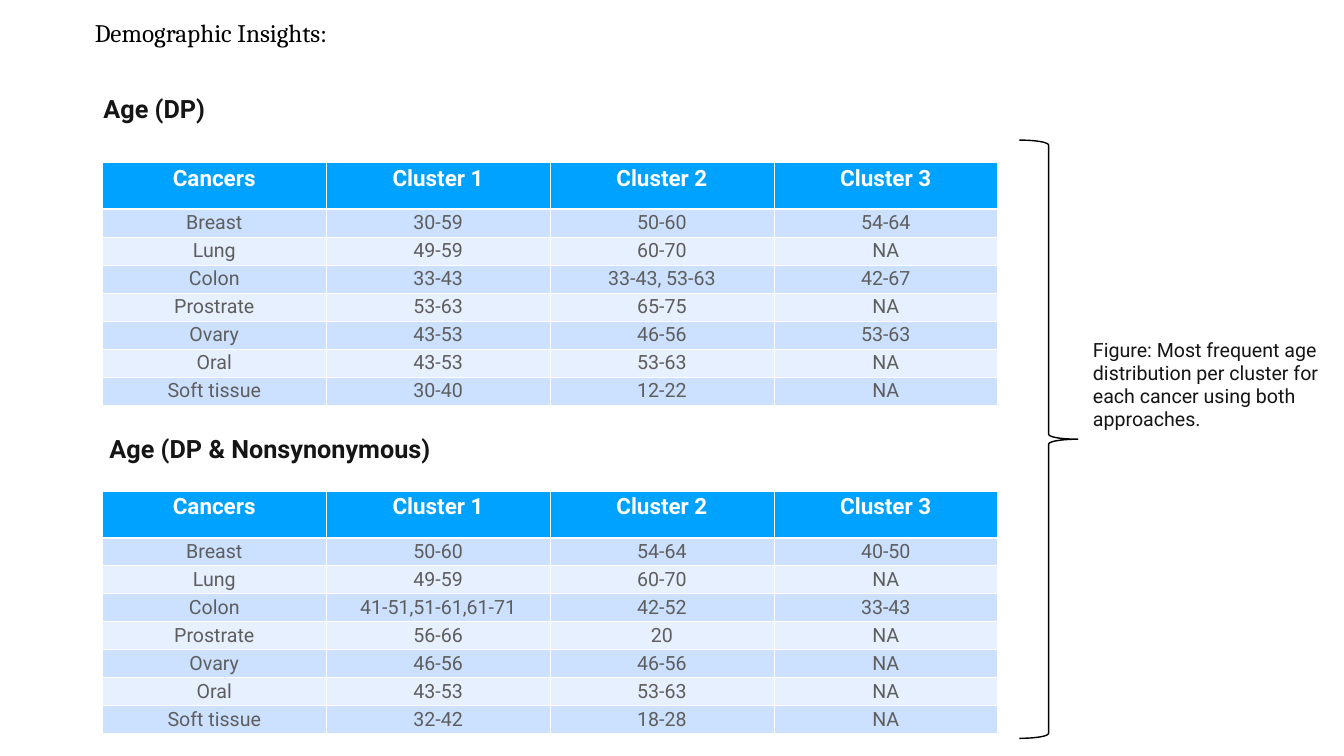
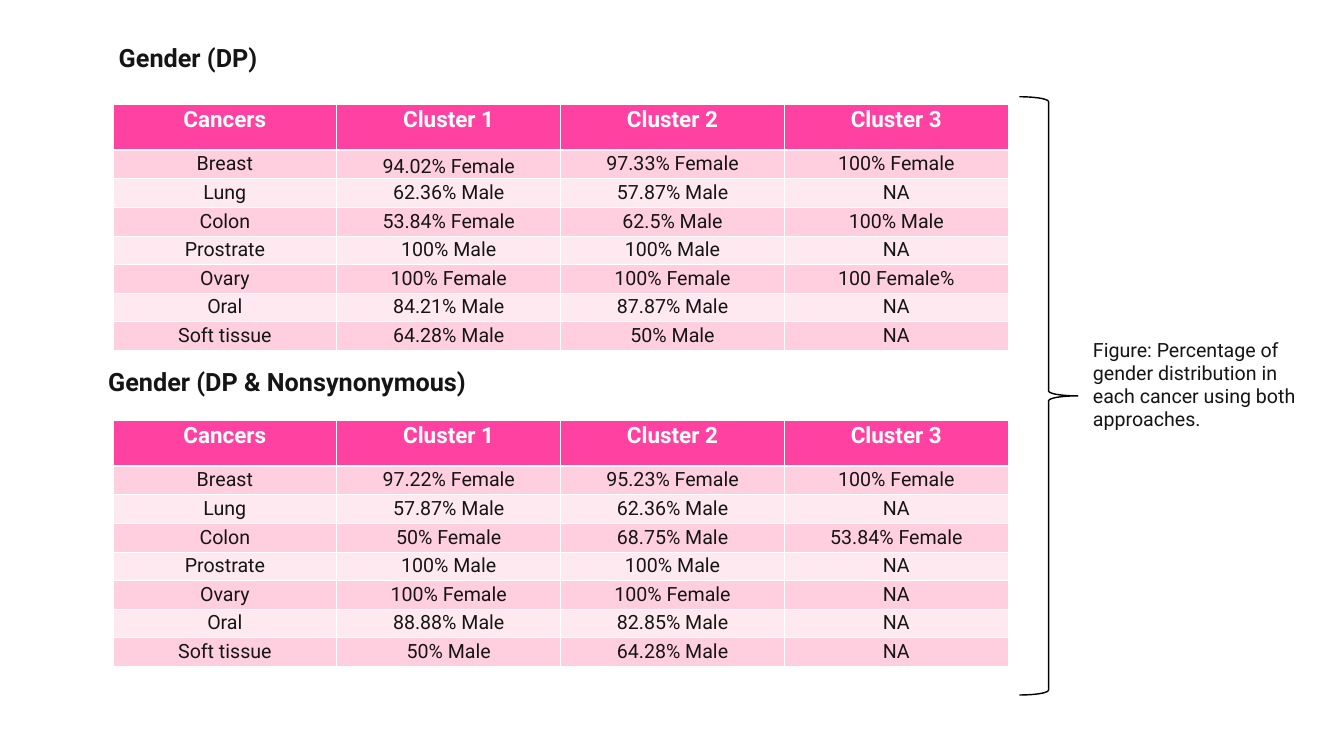
"""Build two slides of age and gender distribution per cancer cluster."""
from lxml import etree
from pptx import Presentation
from pptx.dml.color import RGBColor
from pptx.enum import shapes, text
from pptx.oxml.ns import qn
from pptx.util import Inches, Pt

INK, WHITE, BLACK = "151515", "FFFFFF", "000000"
CENTER, LEFT = text.PP_ALIGN.CENTER, text.PP_ALIGN.LEFT
HEADER = ("Cancers", "Cluster 1", "Cluster 2", "Cluster 3")
COLUMN_WIDTH, HEADER_HEIGHT, ROW_HEIGHT = 4.44, 0.92, 0.55
LABEL_HEIGHT = 0.94
BRACE_LEFT, BRACE_WIDTH, BRACE_HEIGHT = 20.22, 1.16, 11.87
CAPTION_BOX = (21.58, 6.68, 4.69, 2.85)

BLUE = {"header": "00A2FF", "bands": ("CCE0FF", "E7F0FF"), "text": "5E5E5E"}
PINK = {"header": "FF42A1", "bands": ("FFCFE0", "FFE9F0"), "text": INK}

AGE_DP = [
    ("Breast", "30-59", "50-60", "54-64"),
    ("Lung", "49-59", "60-70", "NA"),
    ("Colon", "33-43", "33-43, 53-63", "42-67"),
    ("Prostrate", "53-63", "65-75", "NA"),
    ("Ovary", "43-53", "46-56", "53-63"),
    ("Oral", "43-53", "53-63", "NA"),
    ("Soft tissue", "30-40", "12-22", "NA"),
]
AGE_BOTH = [
    ("Breast", "50-60", "54-64", "40-50"),
    ("Lung", "49-59", "60-70", "NA"),
    ("Colon", "41-51,51-61,61-71", "42-52", "33-43"),
    ("Prostrate", "56-66", "20", "NA"),
    ("Ovary", "46-56", "46-56", "NA"),
    ("Oral", "43-53", "53-63", "NA"),
    ("Soft tissue", "32-42", "18-28", "NA"),
]
GENDER_DP = [
    ("Breast", "94.02% Female", "97.33% Female", "100% Female"),
    ("Lung", "62.36% Male", "57.87% Male", "NA"),
    ("Colon", "53.84% Female", "62.5% Male", "100% Male"),
    ("Prostrate", "100% Male", "100% Male", "NA"),
    ("Ovary", "100% Female", "100% Female", "100 Female%"),
    ("Oral", "84.21% Male", "87.87% Male", "NA"),
    ("Soft tissue", "64.28% Male", "50% Male", "NA"),
]
GENDER_BOTH = [
    ("Breast", "97.22% Female", "95.23% Female", "100% Female"),
    ("Lung", "57.87% Male", "62.36% Male", "NA"),
    ("Colon", "50% Female", "68.75% Male", "53.84% Female"),
    ("Prostrate", "100% Male", "100% Male", "NA"),
    ("Ovary", "100% Female", "100% Female", "NA"),
    ("Oral", "88.88% Male", "82.85% Male", "NA"),
    ("Soft tissue", "50% Male", "64.28% Male", "NA"),
]

SLIDES = [
    {
        "title": "Demographic Insights:",
        "theme": BLUE,
        "table_left": 2.03,
        "tables": [(3.23, AGE_DP), (9.75, AGE_BOTH)],
        "labels": [("Age (DP)", 0.88, 1.84, 4.36),
                   ("Age (DP & Nonsynonymous)", 1.21, 8.59, 8.29)],
        "brace_top": 2.78,
        "caption": "Figure: Most frequent age distribution per cluster "
                   "for each cancer using both approaches.",
    },
    {
        "theme": PINK,
        "table_left": 2.24,
        "tables": [(2.06, GENDER_DP), (8.33, GENDER_BOTH)],
        "labels": [("Gender (DP)", 1.55, 0.83, 4.36),
                   ("Gender (DP & Nonsynonymous)", 1.55, 7.25, 8.29)],
        "brace_top": 1.92,
        "caption": "Figure: Percentage of gender distribution in each cancer "
                   "using both approaches.",
        "low_cell": (1, 1),
    },
]


def color(value):
    return RGBColor.from_string(value)


def style_paragraph(paragraph, words, size, ink, bold=False, font="Roboto", align=LEFT):
    paragraph.text = words
    paragraph.alignment = align
    paragraph.font.name = font
    paragraph.font.size = Pt(size)
    paragraph.font.bold = bold
    paragraph.font.color.rgb = color(ink)


def set_borders(cell, bottom):
    properties = cell._tc.get_or_add_tcPr()
    for side, width in (("L", 1), ("R", 1), ("T", 1), ("B", bottom)):
        line = etree.SubElement(properties, qn(f"a:ln{side}"), w=str(Pt(width)))
        fill = etree.SubElement(line, qn("a:solidFill"))
        etree.SubElement(fill, qn("a:srgbClr"), val=WHITE)


def fill_cell(cell, words, size, ink, background=None, bottom=1, **style):
    set_borders(cell, bottom)
    if background:
        cell.fill.solid()
        cell.fill.fore_color.rgb = color(background)
    else:
        cell.fill.background()
    style_paragraph(cell.text_frame.paragraphs[0], words, size, ink, **style)


def add_grid(slide, rows, columns, left, top, width, height):
    box = [Inches(length) for length in (left, top, width, height)]
    table = slide.shapes.add_table(rows, columns, *box).table
    table.first_row = table.horz_banding = False
    return table


def add_text_cell(slide, words, box, size, **style):
    table = add_grid(slide, 1, 1, *box)
    fill_cell(table.cell(0, 0), words, size, INK, bottom=3, **style)


def add_cluster_table(slide, left, top, rows, theme):
    height = HEADER_HEIGHT + ROW_HEIGHT * len(rows)
    table = add_grid(slide, len(rows) + 1, len(HEADER), left, top,
                     COLUMN_WIDTH * len(HEADER), height)
    for index, row in enumerate([HEADER, *rows]):
        is_header = index == 0
        table.rows[index].height = Inches(HEADER_HEIGHT if is_header else ROW_HEIGHT)
        for column, words in enumerate(row):
            cell = table.cell(index, column)
            if is_header:
                fill_cell(cell, words, 32, WHITE, theme["header"], 3,
                          bold=True, align=CENTER)
            else:
                fill_cell(cell, words, 28, theme["text"],
                          theme["bands"][(index - 1) % 2], align=CENTER)
    return table


def add_title(slide, words):
    box = slide.shapes.add_textbox(Inches(1.88), Inches(0.35), Inches(9.76), Inches(0.61))
    frame = box.text_frame
    frame.word_wrap = True
    frame.margin_left = frame.margin_right = frame.margin_top = frame.margin_bottom = 0
    style_paragraph(frame.paragraphs[0], words, 36, BLACK, font="Cambria")


def add_brace(slide, top):
    brace = slide.shapes.add_shape(
        shapes.MSO_SHAPE.RIGHT_BRACE, Inches(BRACE_LEFT), Inches(top),
        Inches(BRACE_WIDTH), Inches(BRACE_HEIGHT))
    brace.shadow.inherit = False
    brace.fill.background()
    brace.line.color.rgb = color(BLACK)
    brace.line.width = Pt(2)


def lower_cell(cell):
    cell.vertical_anchor = text.MSO_ANCHOR.BOTTOM
    cell.margin_left = cell.margin_right = cell.margin_top = Inches(0.01)
    cell.margin_bottom = 0


def build_slide(presentation, content):
    slide = presentation.slides.add_slide(presentation.slide_layouts[6])
    tables = [add_cluster_table(slide, content["table_left"], top, rows, content["theme"])
              for top, rows in content["tables"]]
    if "low_cell" in content:
        lower_cell(tables[0].cell(*content["low_cell"]))
    for words, left, top, width in content["labels"]:
        add_text_cell(slide, words, (left, top, width, LABEL_HEIGHT), 36,
                      bold=True, align=CENTER)
    if "title" in content:
        add_title(slide, content["title"])
    add_brace(slide, content["brace_top"])
    add_text_cell(slide, content["caption"], CAPTION_BOX, 28)


def main():
    presentation = Presentation()
    presentation.slide_width = Inches(26.66)
    presentation.slide_height = Inches(15)
    for content in SLIDES:
        build_slide(presentation, content)
    presentation.save("out.pptx")


if __name__ == "__main__":
    main()
